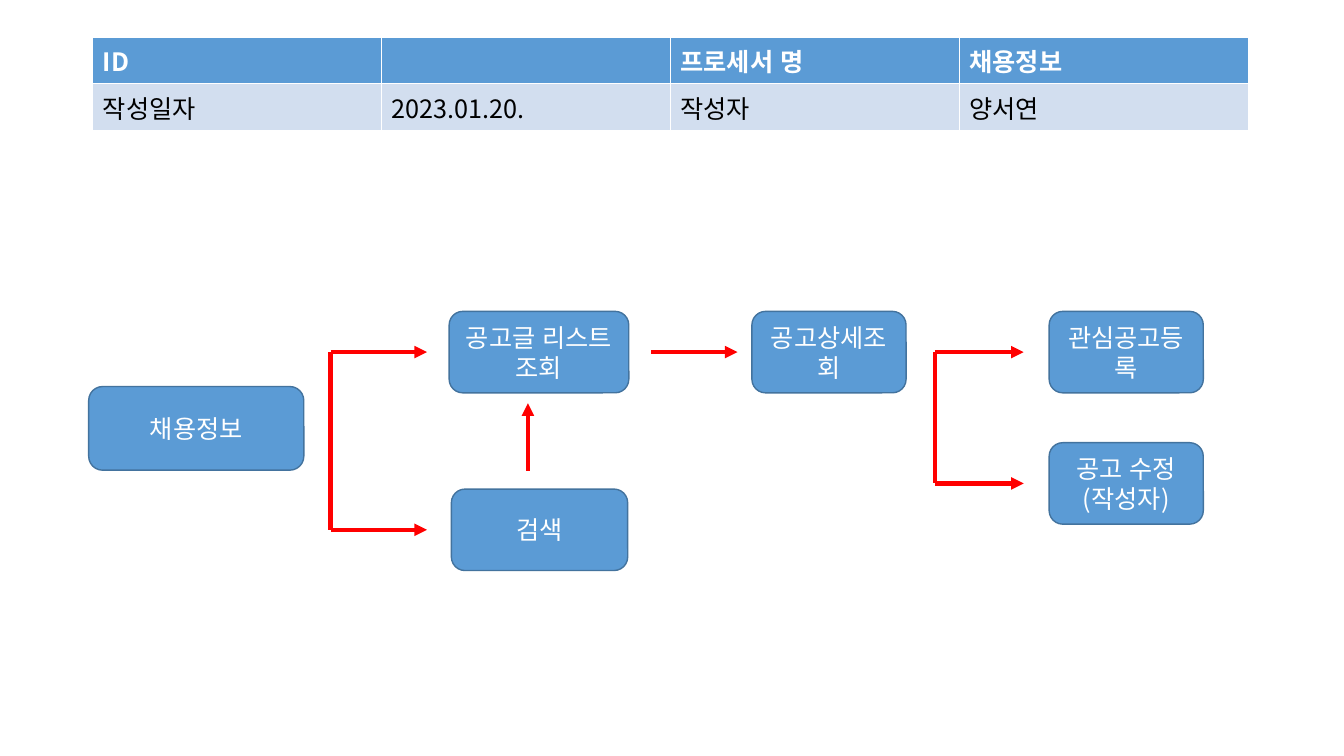
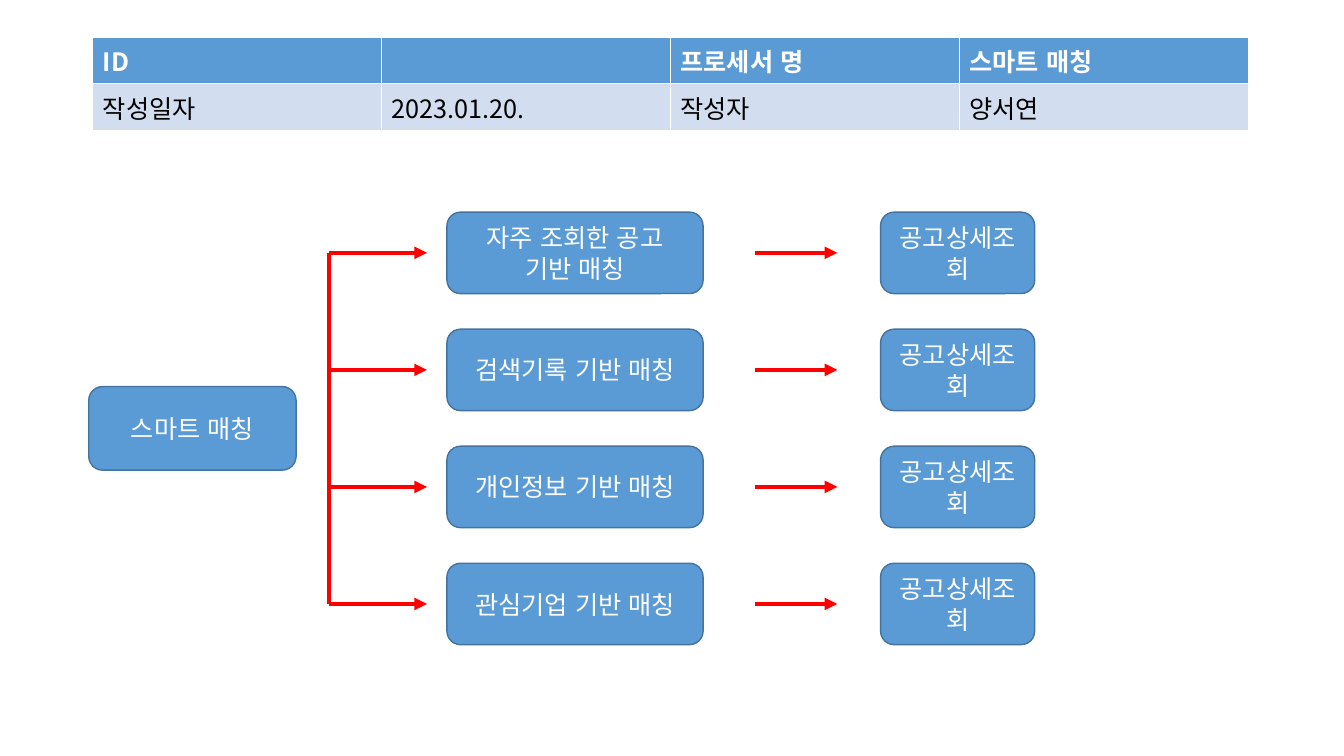
import pptx
import pptx.util
import pptx.dml.color
import pptx.enum.shapes
import pptx.enum.text
import pptx.oxml.ns
import lxml.etree

COLORS = {"box": "5B9BD5", "edge": "43739E", "row": "D2DEEF",
          "arrow": "FF0000", "light": "FFFFFF", "dark": "000000"}
FONT = "Noto Sans CJK KR"
SLIDE = (13.33, 7.5)
HEADER = (0.92, 0.37, 11.46, 0.84)
FLOW = (0.88, 2.1, 11, 4.3)
NODE_H = 18.8
ROOT_H = 19.3
DETAIL_W = 13.9
inches = pptx.util.Inches


def rgb(name):
    """Return the named colour."""
    return pptx.dml.color.RGBColor.from_string(COLORS[name])


def sub(parent, tag, **attrs):
    """Append a drawing element with attributes."""
    return lxml.etree.SubElement(parent, pptx.oxml.ns.qn(tag), attrs)


def style_text(tf, color, bold=False):
    """Format every run of a text frame."""
    for p in tf.paragraphs:
        for r in p.runs:
            r.font.size = pptx.util.Pt(18)
            r.font.name = FONT
            r.font.bold = bold
            r.font.color.rgb = rgb(color)
            r.font.language_id = pptx.enum.lang.MSO_LANGUAGE_ID.KOREAN
            sub(r.font._element, "a:ea", typeface=FONT)


def point(box, x, y):
    """Turn percent shares of a box into a slide position."""
    left, top, width, height = box
    return inches(left + width * x / 100), inches(top + height * y / 100)


def add_node(slide, box, text, x, mid, w, h=NODE_H):
    """Add a rounded box centred vertically on a row."""
    left, top = point(box, x, mid - h / 2)
    right, bottom = point(box, x + w, mid + h / 2)
    sp = slide.shapes.add_shape(pptx.enum.shapes.MSO_SHAPE.ROUNDED_RECTANGLE,
                                left, top, right - left, bottom - top)
    sp.shadow.inherit = False
    sp.fill.solid()
    sp.fill.fore_color.rgb = rgb("box")
    sp.line.color.rgb = rgb("edge")
    sp.line.width = pptx.util.Pt(1)
    tf = sp.text_frame
    tf.word_wrap = True
    tf.vertical_anchor = pptx.enum.text.MSO_ANCHOR.MIDDLE
    p = tf.paragraphs[0]
    p.text = text
    p.alignment = pptx.enum.text.PP_ALIGN.CENTER
    style_text(tf, "light")


def add_line(slide, box, start, end, head=True):
    """Add a red line, with an arrowhead unless told otherwise."""
    line = slide.shapes.add_connector(pptx.enum.shapes.MSO_CONNECTOR.STRAIGHT,
                                      *point(box, *start), *point(box, *end))
    line.line.color.rgb = rgb("arrow")
    line.line.width = pptx.util.Pt(3)
    if head:
        sub(line.line._get_or_add_ln(), "a:tailEnd", type="triangle")
    sub(line._element.spPr, "a:effectLst")


def add_branch(slide, box, x, end, rows):
    """Add a trunk with one arrow to each row."""
    add_line(slide, box, (x, rows[0]), (x, rows[-1]), head=False)
    for y in rows:
        add_line(slide, box, (x, y), (end, y))


def add_header(slide, box, process):
    """Add the table that identifies the process."""
    rows = (("ID", "", "프로세서 명", process),
            ("작성일자", "2023.01.20.", "작성자", "양서연"))
    table = slide.shapes.add_table(2, 4, *map(inches, box)).table
    for i, texts in enumerate(rows):
        for j, text in enumerate(texts):
            cell = table.cell(i, j)
            cell.fill.solid()
            cell.fill.fore_color.rgb = rgb("row" if i else "box")
            cell.text = text
            style_text(cell.text_frame, "dark" if i else "light", bold=i == 0)


def job_flow(slide, box):
    """Draw the flow from job information to its postings."""
    upper, edit, search = 32.4, 62.7, 73.4
    add_node(slide, box, "채용정보", 0, 50, 19.4, ROOT_H)
    add_branch(slide, box, 21.8, 30.5, (upper, search))
    add_node(slide, box, "공고글 리스트 조회", 32.5, upper, 16.2)
    add_node(slide, box, "검색", 32.7, search, 15.9)
    add_line(slide, box, (39.6, 59.8), (39.6, 44.2))
    add_line(slide, box, (50.7, upper), (58.5, upper))
    add_node(slide, box, "공고상세조회", 59.8, upper, DETAIL_W)
    add_branch(slide, box, 76.3, 84.3, (upper, edit))
    add_node(slide, box, "관심공고등록", 86.6, upper, DETAIL_W)
    add_node(slide, box, "공고 수정\v(작성자)", 86.6, edit, DETAIL_W)


def matching_flow(slide, box):
    """Draw the four kinds of matching, each leading to a detail view."""
    kinds = ("자주 조회한 공고 기반 매칭", "검색기록 기반 매칭",
             "개인정보 기반 매칭", "관심기업 기반 매칭")
    rows = [9.5 + 27 * i for i in range(len(kinds))]
    add_node(slide, box, "스마트 매칭", 0, 50, 18.7, ROOT_H)
    add_branch(slide, box, 21.7, 30.5, rows)
    for kind, y in zip(kinds, rows):
        add_node(slide, box, kind, 32.3, y, 23.1)
        add_line(slide, box, (60.1, y), (67.5, y))
        add_node(slide, box, "공고상세조회", 71.4, y, DETAIL_W)


def main():
    """Build and save the presentation."""
    prs = pptx.Presentation()
    prs.slide_width, prs.slide_height = map(inches, SLIDE)
    for process, draw_flow in (("채용정보", job_flow),
                               ("스마트 매칭", matching_flow)):
        slide = prs.slides.add_slide(prs.slide_layouts[6])
        add_header(slide, HEADER, process)
        draw_flow(slide, FLOW)
    prs.save("out.pptx")


import pptx.enum.lang
main()
